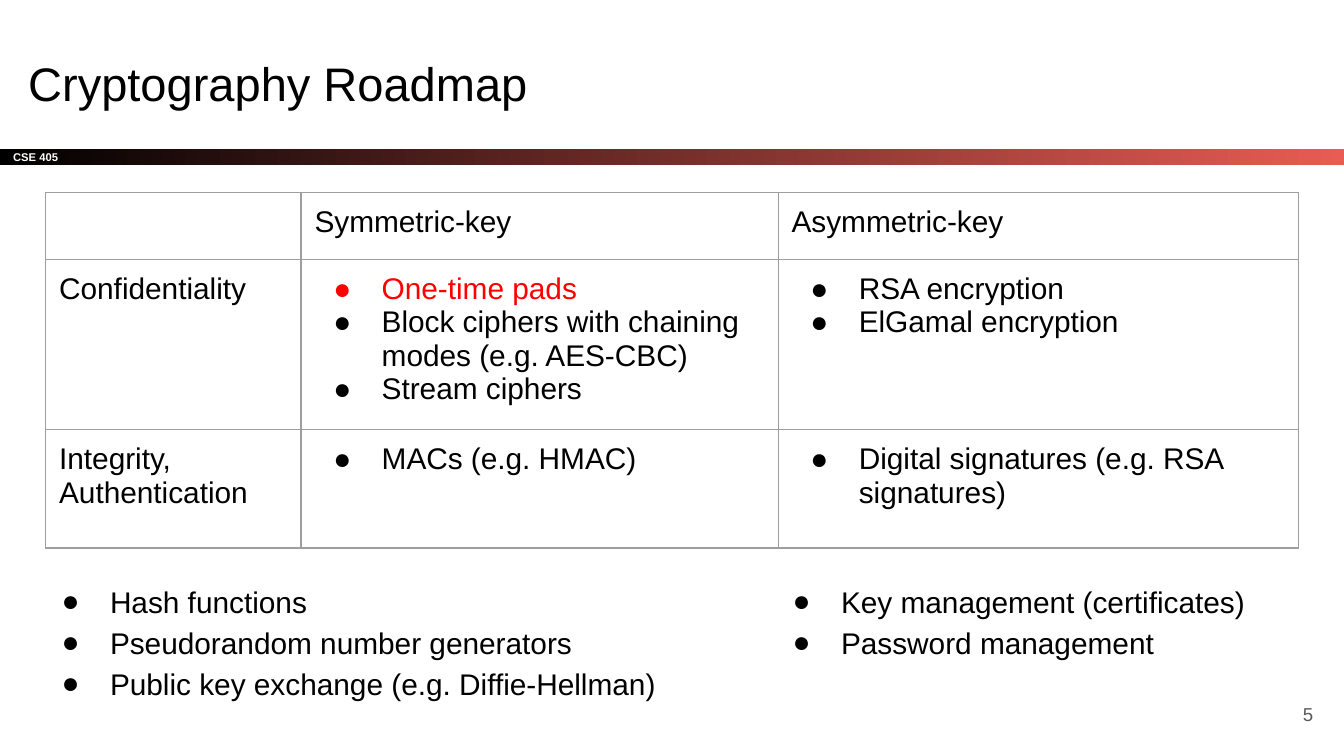
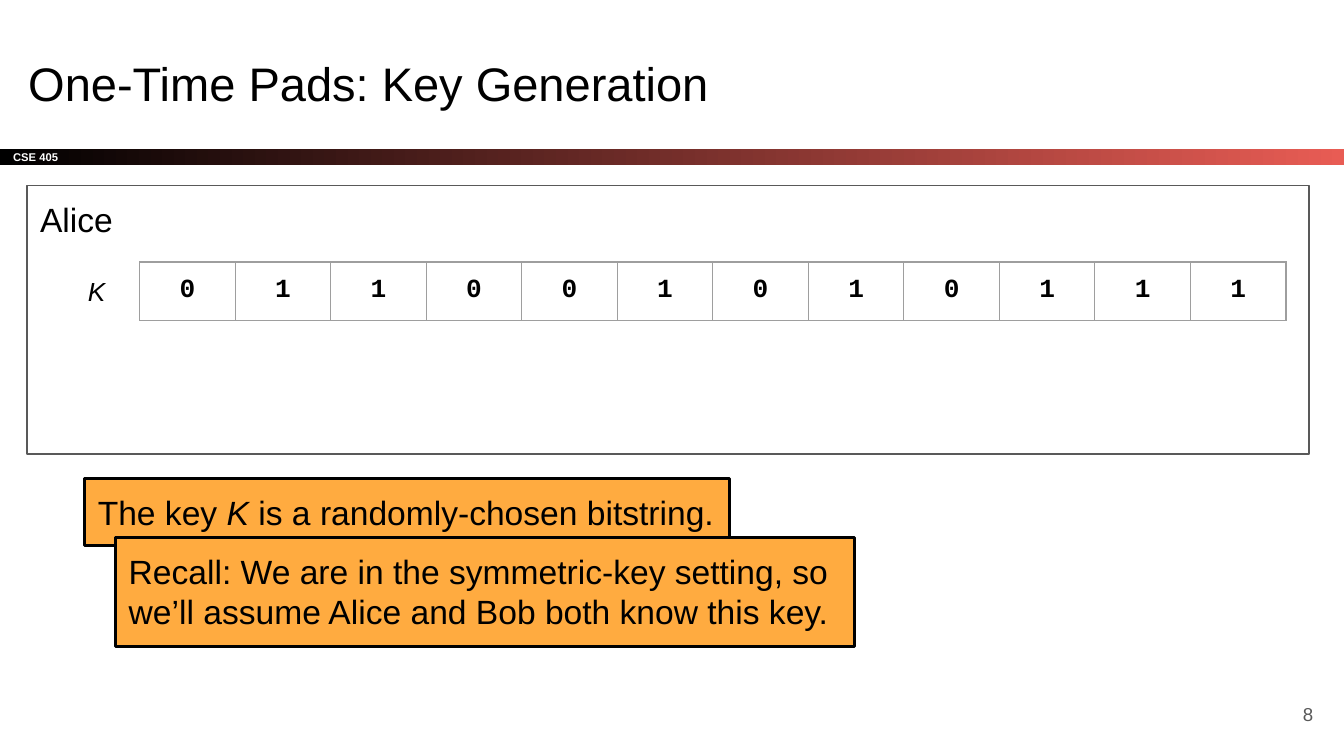
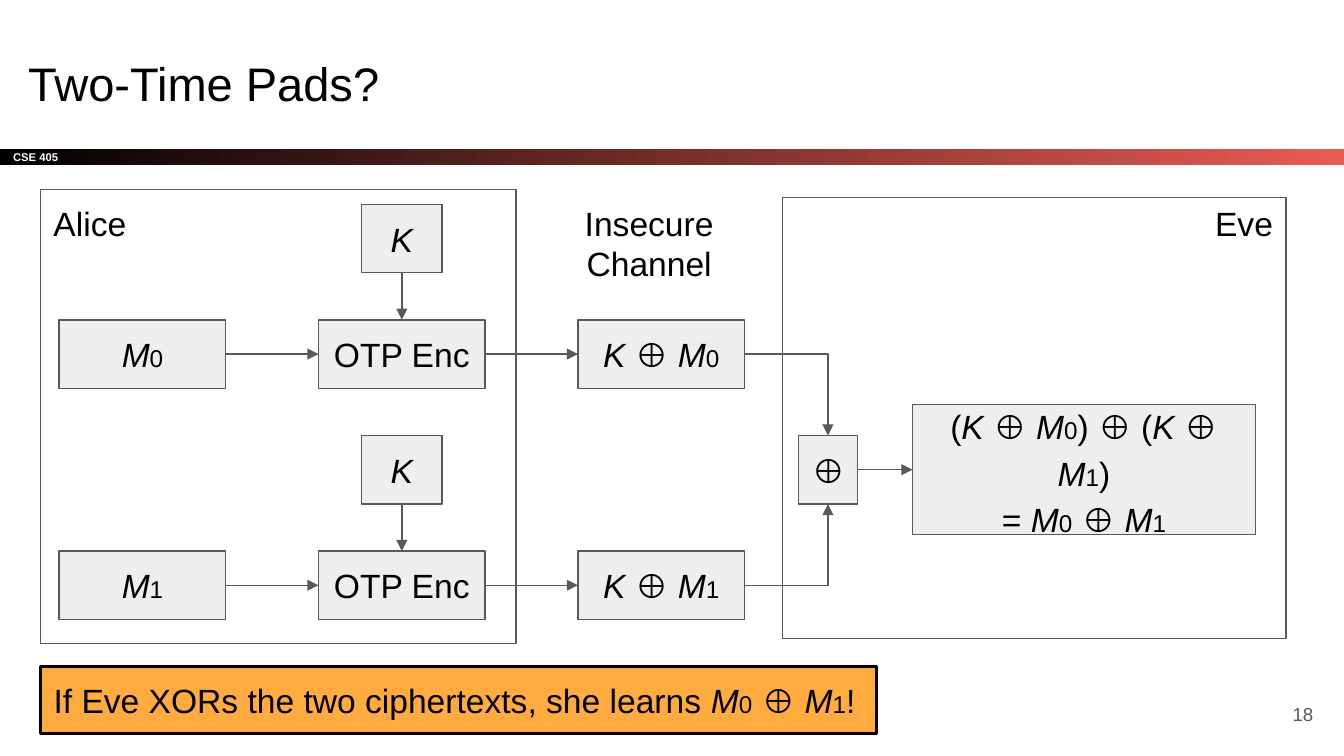
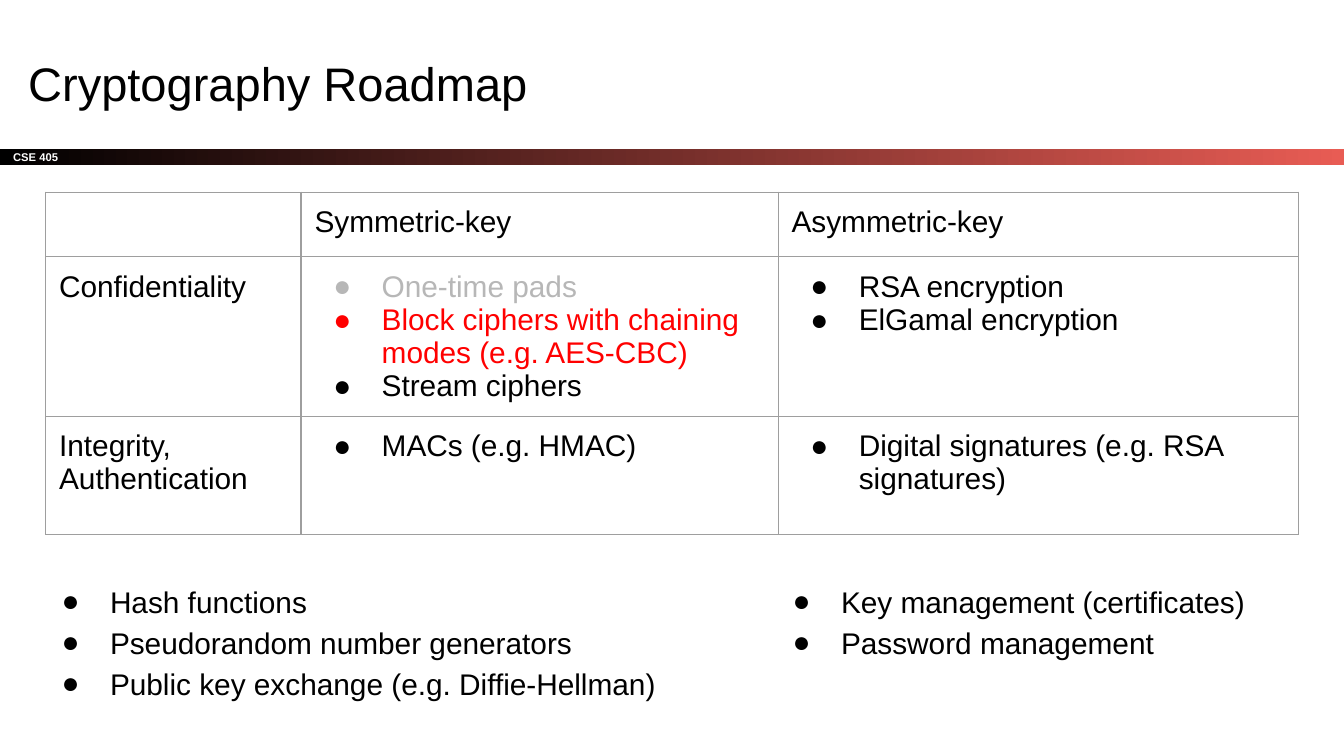
from lxml.etree import SubElement
from pptx import Presentation
from pptx.dml.color import RGBColor
from pptx.enum.shapes import MSO_CONNECTOR, MSO_SHAPE
from pptx.enum.text import MSO_ANCHOR, PP_ALIGN
from pptx.oxml.ns import qn
from pptx.util import Inches, Pt

BLACK = RGBColor(0x00, 0x00, 0x00)
WHITE = RGBColor(0xFF, 0xFF, 0xFF)
RED = RGBColor(0xFF, 0x00, 0x00)
CORAL = RGBColor(0xE8, 0x5C, 0x54)
ORANGE = RGBColor(0xFF, 0xAB, 0x40)
DARK_GRAY = RGBColor(0x59, 0x59, 0x59)
BORDER_GRAY = RGBColor(0x9E, 0x9E, 0x9E)
DONE_GRAY = RGBColor(0xB7, 0xB7, 0xB7)
LIGHT_GRAY = RGBColor(0xEE, 0xEE, 0xEE)
INSET = Inches(0.1)
CENTER, RIGHT = PP_ALIGN.CENTER, PP_ALIGN.RIGHT
TOP_SIDE, LEFT_SIDE, BOTTOM_SIDE, RIGHT_SIDE = range(4)


def write(text_frame, lines, size=18, align=PP_ALIGN.LEFT, color=BLACK, font="Arial",
          bold=False, bullets=False, spacing=None, colors={}):
    """Write one paragraph per line; in a line, |*x| is italic and |_x| is a small index."""
    for number, line in enumerate(lines):
        paragraph = text_frame.add_paragraph() if number else text_frame.paragraphs[0]
        paragraph.alignment = align
        paragraph.line_spacing = spacing
        line_color = colors.get(line, color)
        if bullets:
            properties = paragraph._p.get_or_add_pPr()
            properties.set("marL", str(Inches(0.5)))
            properties.set("indent", str(Inches(-0.36)))
            bullet_color = SubElement(properties, qn("a:buClr"))
            SubElement(bullet_color, qn("a:srgbClr"), val=str(line_color))
            SubElement(properties, qn("a:buSzPts"), val=str(size * 100))
            SubElement(properties, qn("a:buFont"), typeface=font)
            SubElement(properties, qn("a:buChar"), char="●")
        for piece in line.split("|"):
            if piece == "\n":
                paragraph.add_line_break()
                continue
            run = paragraph.add_run()
            run.text = piece.lstrip("*_")
            run.font.name = font
            run.font.size = Pt(13 if piece.startswith("_") else size)
            run.font.italic = piece.startswith("*")
            run.font.bold = bold
            run.font.color.rgb = line_color


def add_box(slide, left, top, width, height, lines=(), fill=None, line=None,
            line_width=0.75, anchor=MSO_ANCHOR.TOP, **text_style):
    """Add a rectangle, or a text box when it has neither fill nor line."""
    place = [Inches(length) for length in (left, top, width, height)]
    if fill is None and line is None:
        shape = slide.shapes.add_textbox(*place)
    else:
        shape = slide.shapes.add_shape(MSO_SHAPE.RECTANGLE, *place)
        shape.shadow.inherit = False
        shape.fill.background()
        shape.line.fill.background()
    if fill is not None:
        shape.fill.solid()
        shape.fill.fore_color.rgb = fill
    if line is not None:
        shape.line.color.rgb = line
        shape.line.width = Pt(line_width)
    frame = shape.text_frame
    frame.word_wrap = True
    frame.vertical_anchor = anchor
    frame.margin_left = frame.margin_right = frame.margin_top = frame.margin_bottom = INSET
    write(frame, lines, **text_style)
    return shape


# A 16:9 presentation
presentation = Presentation()
presentation.slide_width = Inches(10)
presentation.slide_height = presentation.slide_width * 9 // 16
layout = presentation.slide_layouts[5]

# Titles and page numbers
slides = []
for title_text, page in (("Cryptography Roadmap", "5"), ("One-Time Pads: Key Generation", "8"),
                         ("Two-Time Pads?", "18"), ("Cryptography Roadmap", None)):
    slide = presentation.slides.add_slide(layout)
    slides.append(slide)
    title = slide.shapes.title
    title.left, title.top = Inches(0.11), Inches(0.3)
    title.width, title.height = Inches(9.32), Inches(0.63)
    frame = title.text_frame
    frame.margin_left = frame.margin_right = frame.margin_top = frame.margin_bottom = INSET
    frame.vertical_anchor = MSO_ANCHOR.MIDDLE
    write(frame, [title_text], size=25.2)
    if page:
        add_box(slide, 9.27, 5.1, 0.6, 0.43, [page], anchor=MSO_ANCHOR.MIDDLE,
                size=10, align=RIGHT, color=DARK_GRAY)
roadmap_start, key_slide, two_time_slide, roadmap_next = slides

# Course band, moved to the layout that all slides share
band = add_box(roadmap_start, 0, 1.11, 10, 0.12, ["CSE 405"], fill=BLACK,
               anchor=MSO_ANCHOR.MIDDLE, size=6, color=WHITE, bold=True)
band.fill.gradient()
band.fill.gradient_angle = 0
for stop, stop_color in zip(band.fill.gradient_stops, (BLACK, CORAL)):
    stop.color.rgb = stop_color
band.element.nvSpPr.cNvPr.set("id", "20")
layout.shapes.element.append(band.element)

# Roadmap slides: the same table with different topics highlighted
ONE_TIME_PADS = "One-time pads"
BLOCK_CIPHERS = "Block ciphers with chaining modes (e.g. AES-CBC)"
roadmap_rows = [
    [[], ["Symmetric-key"], ["Asymmetric-key"]],
    [["Confidentiality"], [ONE_TIME_PADS, BLOCK_CIPHERS, "Stream ciphers"],
     ["RSA encryption", "ElGamal encryption"]],
    [["Integrity,|\n|Authentication"], ["MACs (e.g. HMAC)"],
     ["Digital signatures (e.g. RSA signatures)"]],
]
for slide, topic_colors in ((roadmap_start, {ONE_TIME_PADS: RED}),
                            (roadmap_next, {ONE_TIME_PADS: DONE_GRAY, BLOCK_CIPHERS: RED})):
    table = slide.shapes.add_table(3, 3, Inches(0.34), Inches(1.43),
                                   Inches(9.32), Inches(2.17)).table
    for column, width in zip(table.columns, (1.9, 3.55, 3.87)):
        column.width = Inches(width)
    for row, height in zip(table.rows, (0.41, 0.88, 0.88)):
        row.height = Inches(height)
    for row_number, row_texts in enumerate(roadmap_rows):
        for column_number, lines in enumerate(row_texts):
            write(table.cell(row_number, column_number).text_frame, lines, size=16,
                  bullets=row_number > 0 and column_number > 0, colors=topic_colors)
    # The empty corner cell sets the height of the header row
    corner = table.cell(0, 0).text_frame.paragraphs[0]
    corner_font = SubElement(corner._p, qn("a:endParaRPr"), sz="1800")
    SubElement(corner_font, qn("a:latin"), typeface="Arial")
    add_box(slide, 0.22, 4.2, 4.78, 1.28,
            ["Hash functions", "Pseudorandom number generators",
             "Public key exchange (e.g. Diffie-Hellman)"],
            size=16, bullets=True, spacing=1.15)
    add_box(slide, 5.66, 4.2, 3.77, 0.78,
            ["Key management (certificates)", "Password management"],
            size=16, bullets=True, spacing=1.15)

# Key generation: Alice's key as a row of bits
add_box(key_slide, 0.2, 1.38, 9.54, 2, line=DARK_GRAY)
add_box(key_slide, 0.2, 1.38, 0.84, 0.5, ["Alice"])
key_bits = "011001010111"
key_width = Inches(8.53)
table = key_slide.shapes.add_table(1, len(key_bits), Inches(1.04), Inches(1.95),
                                   key_width, Inches(0.43)).table
for column_number, bit in enumerate(key_bits):
    table.columns[column_number].width = key_width // len(key_bits)
    write(table.cell(0, column_number).text_frame, [bit], size=14, align=CENTER,
          font="Courier New", bold=True)
add_box(key_slide, 0.42, 1.95, 0.6, 0.44, ["*K"], size=14, align=CENTER)

# Key generation: notes
note_style = dict(fill=ORANGE, line=BLACK, line_width=1.5)
add_box(key_slide, 0.63, 3.56, 4.8, 0.5,
        ["The key |*K| is a randomly-chosen bitstring."], **note_style)
add_box(key_slide, 0.86, 4, 5.5, 0.81,
        ["Recall: We are in the symmetric-key setting, so we’ll assume Alice and Bob "
         "both know this key."], **note_style)

# Two-time pads: the parties and the note
add_box(two_time_slide, 5.82, 1.47, 3.75, 3.28, line=DARK_GRAY)
add_box(two_time_slide, 0.3, 1.41, 3.54, 3.38, line=DARK_GRAY)
add_box(two_time_slide, 0.3, 1.41, 0.84, 0.5, ["Alice"])
add_box(two_time_slide, 3.84, 1.41, 1.98, 0.81, ["Insecure Channel"], align=CENTER)
add_box(two_time_slide, 8.73, 1.41, 0.84, 0.5, ["Eve"], align=RIGHT)
add_box(two_time_slide, 0.3, 4.96, 6.22, 0.5,
        ["If Eve XORs the two ciphertexts, she learns |*M|_0| ⊕ |*M|_1|!"], **note_style)

# Two-time pads: Eve combines both ciphertexts
step_style = dict(fill=LIGHT_GRAY, line=DARK_GRAY, anchor=MSO_ANCHOR.MIDDLE, align=CENTER)
step_left, step_width, step_height, step_gap = 0.44, 1.24, 0.51, 0.69
step_pitch = step_width + step_gap
key_width = 0.6
key_left = step_left + step_pitch + (step_width - key_width) / 2
xor = add_box(two_time_slide, 5.94, 3.24, 0.44, step_height, ["⊕"], **step_style)
result = add_box(two_time_slide, 6.79, 3.01, 2.55, 0.97,
                 ["(|*K| ⊕ |*M|_0|) ⊕ (|*K| ⊕ |*M|_1|)|\n|= |*M|_0| ⊕ |*M|_1"],
                 spacing=1.15, **step_style)

# Two-time pads: one encryption per message, in two rows
STRAIGHT, ELBOW = MSO_CONNECTOR.STRAIGHT, MSO_CONNECTOR.ELBOW
arrows = [(STRAIGHT, xor, RIGHT_SIDE, result, LEFT_SIDE)]
for index, (top, xor_side) in enumerate(((2.38, TOP_SIDE), (4.1, BOTTOM_SIDE))):
    message, encryption, ciphertext = [
        add_box(two_time_slide, step_left + step * step_pitch, top, step_width, step_height,
                [text], **step_style)
        for step, text in enumerate((f"*M|_{index}", "OTP Enc", f"*K| ⊕ |*M|_{index}"))]
    key = add_box(two_time_slide, key_left, top - 0.86, key_width, step_height,
                  ["*K"], **step_style)
    arrows += [(STRAIGHT, key, BOTTOM_SIDE, encryption, TOP_SIDE),
               (STRAIGHT, message, RIGHT_SIDE, encryption, LEFT_SIDE),
               (STRAIGHT, encryption, RIGHT_SIDE, ciphertext, LEFT_SIDE),
               (ELBOW, ciphertext, RIGHT_SIDE, xor, xor_side)]

# Two-time pads: arrows
for kind, source, source_side, target, target_side in arrows:
    connector = two_time_slide.shapes.add_connector(kind, 0, 0, 0, 0)
    connector.begin_connect(source, source_side)
    connector.end_connect(target, target_side)
    connector.line.color.rgb = DARK_GRAY
    connector.line.width = Pt(0.75)
    properties = connector.element.spPr
    SubElement(properties.find(qn("a:ln")), qn("a:tailEnd"), type="triangle")
    SubElement(properties, qn("a:effectLst"))
    if kind == ELBOW:
        properties.find(qn("a:prstGeom")).set("prst", "bentConnector2")

# Plain cells with thin gray borders in every table
for slide in slides:
    for shape in slide.shapes:
        if not shape.has_table:
            continue
        shape.table.first_row = shape.table.horz_banding = False
        for cell in shape.table.iter_cells():
            cell.margin_left = cell.margin_right = INSET
            cell.margin_top = cell.margin_bottom = INSET
            properties = cell._tc.get_or_add_tcPr()
            for side in ("a:lnL", "a:lnR", "a:lnT", "a:lnB"):
                border = SubElement(properties, qn(side), w=str(Pt(0.75)))
                border_fill = SubElement(border, qn("a:solidFill"))
                SubElement(border_fill, qn("a:srgbClr"), val=str(BORDER_GRAY))
            cell.fill.background()

presentation.save("out.pptx")
